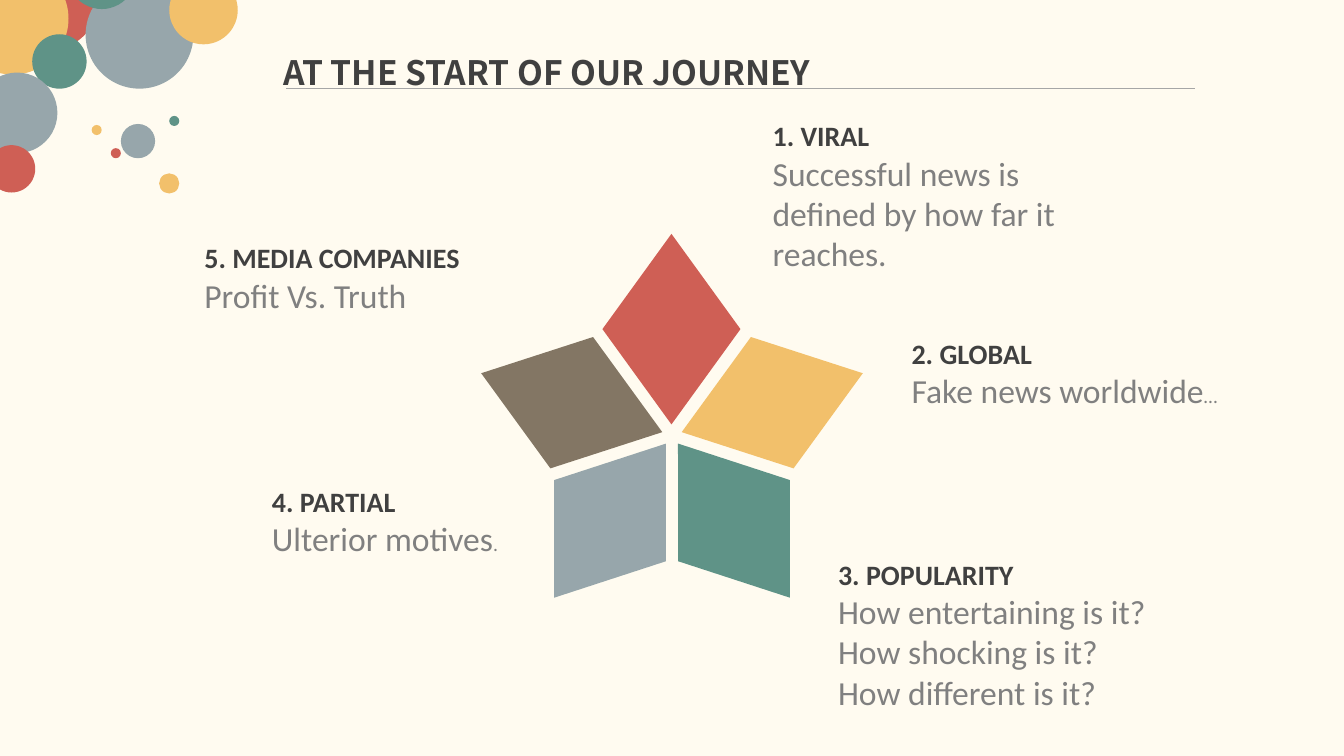
from math import cos, radians, sin

from lxml.etree import SubElement
from pptx import Presentation
from pptx.dml.color import RGBColor
from pptx.enum.shapes import MSO_CONNECTOR as Link, MSO_SHAPE as Form
from pptx.enum.text import MSO_ANCHOR as Anchor, MSO_AUTO_SIZE as Fit, PP_ALIGN as Align
from pptx.oxml.ns import qn
from pptx.util import Emu, Pt

CREAM = RGBColor(0xFF, 0xFB, 0xF0)
RED = RGBColor(0xCF, 0x5F, 0x55)
YELLOW = RGBColor(0xF2, 0xC0, 0x6B)
GREEN = RGBColor(0x5F, 0x93, 0x87)
GREY = RGBColor(0x97, 0xA6, 0xAB)
BROWN = RGBColor(0x83, 0x76, 0x64)
DARK = RGBColor(0x40, 0x40, 0x40)
MID = RGBColor(0x80, 0x80, 0x80)
RULE = RGBColor(0xA6, 0xA6, 0xA6)

PX = 9144
TITLE_FONT = {"name": "Noto Sans CJK SC", "size": Pt(24), "bold": True}
HEADING_FONT = {"name": "Calibri", "size": Pt(20), "bold": True}
BODY_FONT = {"name": "Calibri", "size": Pt(24), "bold": False}
SMALL_FONT = {**BODY_FONT, "size": Pt(14)}

STAR_X, STAR_Y, STAR_RADIUS = 667, 432, 105
PETAL_WIDTH, PETAL_HEIGHT = 137, 189
PETALS = [RED, YELLOW, GREEN, GREY, BROWN]

BUBBLES = [
    (4, -44, 93, RED), (-43, -37, 111, YELLOW), (32, 34, 54, GREEN),
    (-23, 72, 80, GREY), (85, -19, 107, GREY), (67, -59, 68, GREEN),
    (-12, 144, 47, RED), (120, 123, 34, GREY), (110, 147, 10, RED),
    (91, 124, 10, YELLOW), (168, 115, 10, GREEN), (158, 172, 20, YELLOW),
    (168, -24, 68, YELLOW),
]

POINTS = [
    ((757, 113, 312, 165), "1. VIRAL",
     ["Successful news is defined by how far it reaches."], ""),
    ((895, 329, 344, 84), "2. GLOBAL", ["Fake news worldwide"], "…"),
    ((822, 548, 348, 165), "3. POPULARITY",
     ["How entertaining is it?", "How shocking is it?", "How different is it?"], ""),
    ((260, 476, 249, 84), "4. PARTIAL", ["Ulterior motives"], "."),
    ((193, 234, 281, 84), "5. MEDIA COMPANIES", ["Profit Vs. Truth"], ""),
]


def px(*lengths):
    return [Emu(round(length * PX)) for length in lengths]


class SlideBuilder:
    def __init__(self, deck):
        self.page = deck.slides.add_slide(deck.slide_layouts[5])
        fill = self.page.background.fill
        fill.solid()
        fill.fore_color.rgb = CREAM

    def span(self, para, text, style, color):
        span = para.add_run()
        span.text = text
        for key, value in style.items():
            setattr(span.font, key, value)
        span.font.color.rgb = color

    def title(self, text, area):
        box = self.page.shapes.title
        box.left, box.top, box.width, box.height = px(*area)
        settings = {"word_wrap": True, "auto_size": Fit.NONE, "vertical_anchor": Anchor.MIDDLE}
        for key, value in settings.items():
            setattr(box.text_frame, key, value)
        para = box.text_frame.paragraphs[0]
        para.alignment = Align.LEFT
        self.span(para, text, TITLE_FONT, DARK)

    def shape(self, parent, form, area, color, rotation=0):
        shape = parent.shapes.add_shape(form, *px(*area))
        shape.shadow.inherit = False
        shape.fill.solid()
        shape.fill.fore_color.rgb = color
        shape.line.fill.background()
        shape.rotation = rotation

    def star(self):
        step = 360 / len(PETALS)
        for index, color in enumerate(PETALS):
            angle = index * step
            left = STAR_X + STAR_RADIUS * sin(radians(angle)) - PETAL_WIDTH / 2
            top = STAR_Y - STAR_RADIUS * cos(radians(angle)) - PETAL_HEIGHT / 2
            area = (round(left), round(top), PETAL_WIDTH, PETAL_HEIGHT)
            self.shape(self.page, Form.DIAMOND, area, color, angle)

    def bubbles(self):
        group = self.page.shapes.add_group_shape()
        for left, top, size, color in BUBBLES:
            self.shape(group, Form.OVAL, (left, top, size, size), color)

    def point(self, area, heading, lines, ending):
        box = self.page.shapes.add_textbox(*px(*area))
        frame = box.text_frame
        frame.word_wrap = True
        frame.auto_size = Fit.SHAPE_TO_FIT_TEXT
        self.span(frame.paragraphs[0], heading, HEADING_FONT, DARK)
        for line in lines:
            para = frame.add_paragraph()
            self.span(para, line, BODY_FONT, MID)
        if ending:
            self.span(para, ending, SMALL_FONT, MID)

    def rule(self, start_x, end_x, y):
        line = self.page.shapes.add_connector(Link.STRAIGHT, *px(start_x, y, end_x, y))
        line.line.color.rgb = RULE
        line.line.width = Pt(0.5)
        SubElement(line._element.spPr, qn("a:effectLst"))


def main():
    deck = Presentation()
    deck.slide_width, deck.slide_height = px(1334, 750)
    builder = SlideBuilder(deck)
    builder.star()
    for point in POINTS:
        builder.point(*point)
    builder.bubbles()
    builder.rule(284, 1186, 88)
    builder.title("AT THE START OF OUR JOURNEY", (271, 46, 605, 50))
    deck.save("out.pptx")


if __name__ == "__main__":
    main()
